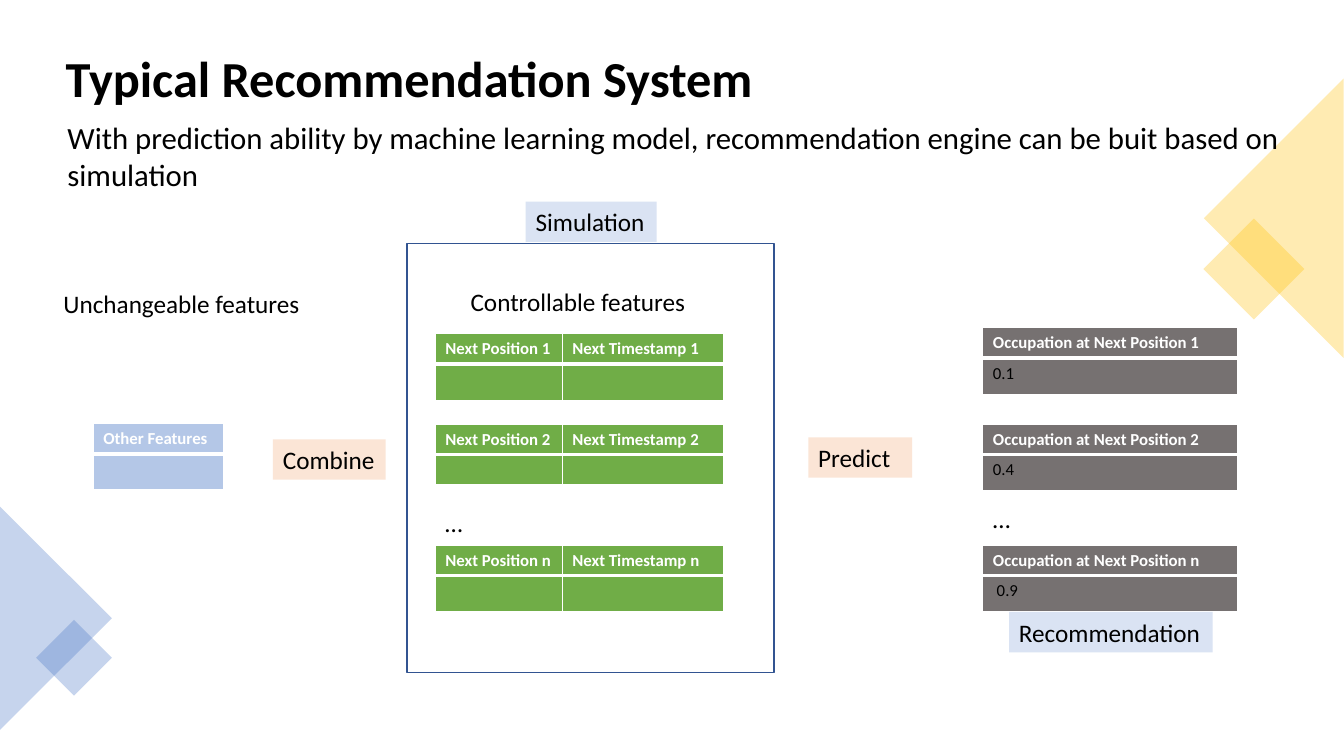
"""Build the Typical Recommendation System slide."""
from lxml.etree import SubElement
from pptx import Presentation
from pptx.dml.color import RGBColor
from pptx.enum.shapes import MSO_SHAPE as Preset
from pptx.enum.text import MSO_ANCHOR as Anchor, MSO_AUTO_SIZE as AutoSize, PP_ALIGN as Align
from pptx.oxml import parse_xml
from pptx.oxml.ns import nsdecls, qn
from pptx.util import Cm, Pt

BLACK = RGBColor(0, 0, 0)
WHITE = RGBColor(255, 255, 255)
BLUE = RGBColor(0x44, 0x72, 0xC4)
DARK_BLUE = RGBColor(0x32, 0x54, 0x91)
LIGHT_BLUE = RGBColor(0xB4, 0xC7, 0xE7)
PALE_BLUE = RGBColor(0xDA, 0xE3, 0xF3)
GOLD = RGBColor(0xFF, 0xC0, 0x00)
PEACH = RGBColor(0xFB, 0xE5, 0xD6)
GREEN = RGBColor(0x70, 0xAD, 0x47)
GRAY = RGBColor(0x76, 0x71, 0x71)


def style_text(frame, text, size, color=BLACK, bold=False):
    frame.text = text
    paragraph = frame.paragraphs[0]
    paragraph.alignment = Align.LEFT
    for run in paragraph.runs:
        run.font.name = "Calibri"
        run.font.size = Pt(size)
        run.font.bold = bold
        run.font.color.rgb = color
    if not text:
        SubElement(paragraph._p, qn("a:endParaRPr"), sz=str(size * 100))


def add_feature_table(left, top, widths, body_height, headers, values, color):
    heights = [0.76, body_height]
    table = slide.shapes.add_table(
        2, len(widths), Cm(left), Cm(top), Cm(sum(widths)), Cm(sum(heights))).table
    for column, width in zip(table.columns, widths):
        column.width = Cm(width)
    for row_index, texts in enumerate((headers, values)):
        table.rows[row_index].height = Cm(heights[row_index])
        is_header = row_index == 0
        thick_side = "B" if is_header else "T"
        for column_index, text in enumerate(texts):
            cell = table.cell(row_index, column_index)
            style_text(cell.text_frame, text, 12, WHITE if is_header else BLACK, is_header)
            properties = cell._tc.get_or_add_tcPr()
            for side in "LRTB":
                width = Pt(3 if side == thick_side else 1)
                properties.append(parse_xml(
                    f'<a:ln{side} {nsdecls("a")} w="{width}"><a:solidFill>'
                    f'<a:srgbClr val="{WHITE}"/></a:solidFill></a:ln{side}>'))
            cell.fill.solid()
            cell.fill.fore_color.rgb = color


prs = Presentation()
prs.slide_width, prs.slide_height = Cm(33.87), Cm(19.05)
slide = prs.slides.add_slide(prs.slide_layouts[5])

decorations = [
    (Preset.RECTANGLE, 30.7, 5.88, 1.8, 1.8, 45, GOLD),
    (Preset.ISOSCELES_TRIANGLE, 28.58, 3.74, 7.04, 3.52, 270, GOLD),
    (Preset.ISOSCELES_TRIANGLE, -1.4, 14.17, 5.62, 2.82, 90, BLUE),
    (Preset.RECTANGLE, 1.19, 15.9, 1.35, 1.35, 45, BLUE),
]
for preset, left, top, width, height, rotation, color in decorations:
    decoration = slide.shapes.add_shape(preset, Cm(left), Cm(top), Cm(width), Cm(height))
    decoration.rotation = rotation
    decoration.shadow.inherit = False
    decoration.line.fill.background()
    decoration.fill.solid()
    decoration.fill.fore_color.rgb = color
    color_node = decoration._element.spPr.find(qn("a:solidFill"))[0]
    SubElement(color_node, qn("a:alpha"), val="30000")

title = slide.shapes.title
title.left, title.top, title.width, title.height = Cm(1.4), Cm(0.46), Cm(30.3), Cm(3.15)
style_text(title.text_frame, "Typical Recommendation System", 36, bold=True)
title.text_frame.vertical_anchor = Anchor.MIDDLE
title.text_frame.word_wrap = True
title.text_frame.auto_size = AutoSize.NONE
title.text_frame.paragraphs[0].line_spacing = 0.9

subtitle = slide.shapes.add_textbox(Cm(1.45), Cm(2.87), Cm(31.67), Cm(2.13))
subtitle.text_frame.word_wrap = True
style_text(subtitle.text_frame, "With prediction ability by machine learning model, "
           "recommendation engine can be buit based on simulation", 22)

simulation_frame = slide.shapes.add_shape(
    Preset.RECTANGLE, Cm(10.26), Cm(6.13), Cm(9.25), Cm(10.82))
simulation_frame.shadow.inherit = False
simulation_frame.fill.background()
simulation_frame.line.color.rgb = DARK_BLUE
simulation_frame.line.width = Pt(1)

options = [
    ("1", 8.41, 8.26, 0.91, "0.1"),
    ("2", 10.69, 10.69, 0.76, "0.4"),
    ("n", 13.74, 13.74, 0.91, " 0.9"),
]
for number, feature_top, result_top, feature_height, occupation in options:
    add_feature_table(10.97, feature_top, [3.2, 4.06], feature_height,
                      [f"Next Position {number}", f"Next Timestamp {number}"], ["", ""], GREEN)
    add_feature_table(24.77, result_top, [6.43], 0.91,
                      [f"Occupation at Next Position {number}"], [occupation], GRAY)
add_feature_table(2.35, 10.67, [3.28], 0.91, ["Other Features"], [""], LIGHT_BLUE)

labels = [
    ("Unchangeable features", 1.35, 7.14, 6.53, None),
    ("Controllable features", 11.61, 7.09, 5.99, None),
    ("…", 10.97, 12.67, 0.97, None),
    ("…", 24.77, 12.55, 0.97, None),
    ("Combine", 6.88, 11.07, 2.84, PEACH),
    ("Predict", 20.37, 11.02, 2.62, PEACH),
    ("Simulation", 13.25, 5.08, 3.3, PALE_BLUE),
    ("Recommendation", 25.43, 15.42, 5.13, PALE_BLUE),
]
for text, left, top, width, color in labels:
    label = slide.shapes.add_textbox(Cm(left), Cm(top), Cm(width), Cm(1.02))
    label.text_frame.word_wrap = color == PEACH
    style_text(label.text_frame, text, 18)
    if color:
        label.fill.solid()
        label.fill.fore_color.rgb = color

prs.save("out.pptx")
